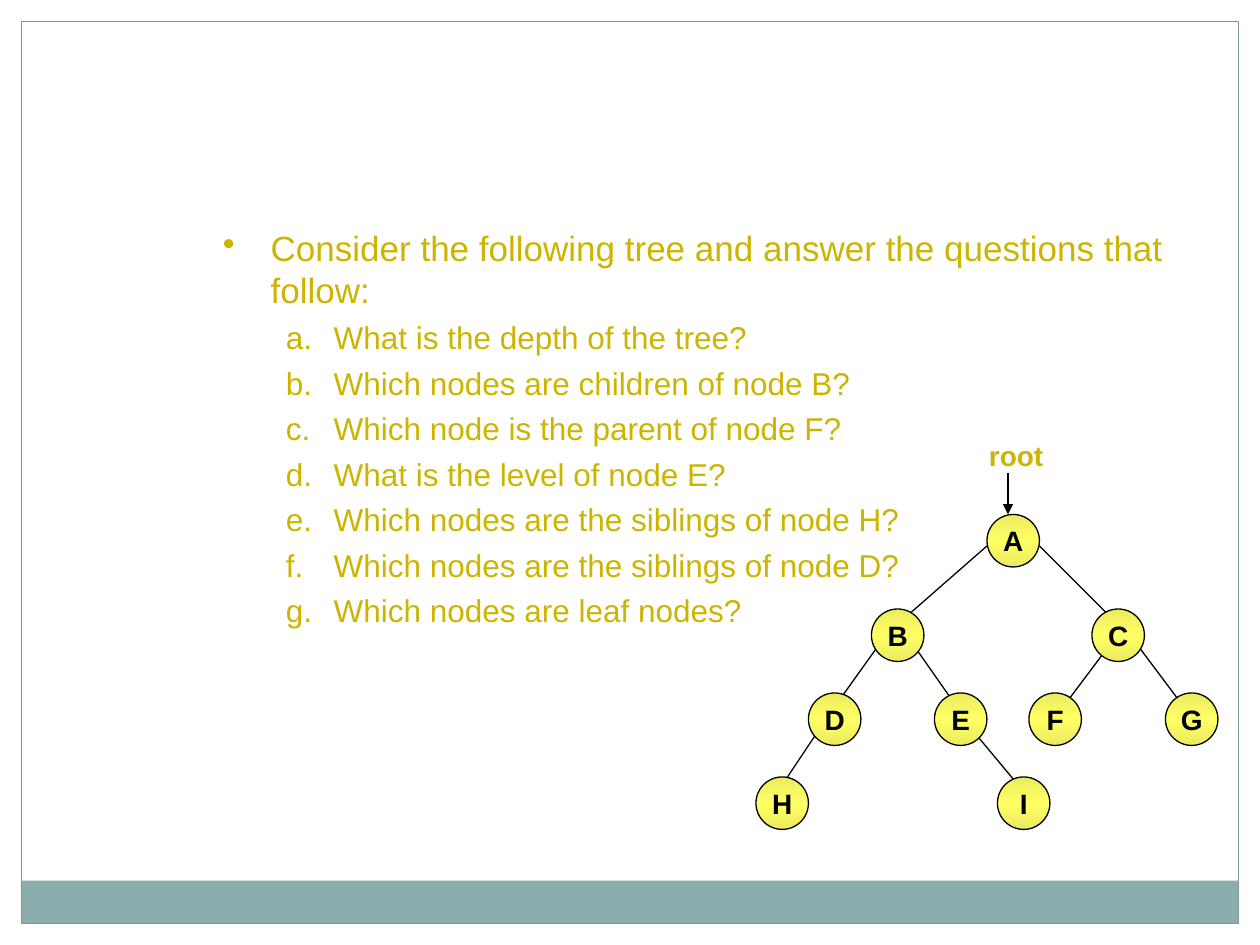
from copy import deepcopy
from dataclasses import dataclass

from pptx import Presentation
from pptx.dml.color import RGBColor
from pptx.enum.shapes import MSO_CONNECTOR, MSO_SHAPE
from pptx.enum.text import MSO_ANCHOR, PP_ALIGN
from pptx.oxml.ns import qn
from pptx.util import Inches, Pt

RECTANGLE, OVAL = MSO_SHAPE.RECTANGLE, MSO_SHAPE.OVAL
STRAIGHT = MSO_CONNECTOR.STRAIGHT
MIDDLE, CENTER = MSO_ANCHOR.MIDDLE, PP_ALIGN.CENTER


@dataclass(frozen=True)
class Theme:
    font: str = "Arial"
    text: RGBColor = RGBColor.from_string("CCB400")
    ink: RGBColor = RGBColor.from_string("000000")
    band: RGBColor = RGBColor.from_string("8CADAE")
    frame: RGBColor = RGBColor.from_string("7C999A")
    node_edge: RGBColor = RGBColor.from_string("EBEB5E")
    node_middle: RGBColor = RGBColor.from_string("FFFF66")
    intro_size: Pt = Pt(20)
    question_size: Pt = Pt(18)
    label_size: Pt = Pt(16)
    line_width: Pt = Pt(0.75)


THEME = Theme()
UNIT = Inches(1 / 12)  # side of one square of the tree's grid
NODE_UNITS = 5

INTRO = "Consider the following tree and answer the questions that follow:"
QUESTIONS = [
    "What is the depth of the tree?",
    "Which nodes are children of node B?",
    "Which node is the parent of node F?",
    "What is the level of node E?",
    "Which nodes are the siblings of node H?",
    "Which nodes are the siblings of node D?",
    "Which nodes are leaf nodes?",
]

# Row of each tree level, with the column of each node on it
LEVELS = {
    49: {"A": 94},
    58: {"B": 83, "C": 104},
    66: {"D": 77, "E": 89, "F": 98, "G": 111},
    74: {"H": 72, "I": 95},
}

# (column, row) of the upper and lower end of each branch
BRANCHES = [
    ((94, 52), (86, 59)),
    ((99, 52), (107, 60)),
    ((84, 61), (79, 68)),
    ((86, 60), (93, 70)),
    ((106, 61), (100, 69)),
    ((108, 61), (114, 69)),
    ((79, 68), (73, 77)),
    ((93, 70), (98, 76)),
]


def style_font(para, size, color, bold=False):
    font = para.font
    font.name, font.size, font.bold = THEME.font, size, bold
    font.color.rgb = color


def style_outline(line, color):
    line.color.rgb = color
    line.width = THEME.line_width


def set_bullet(para, indent, tag, **attributes):
    """Give the paragraph a hanging bullet; tag is buChar or buAutoNum."""
    properties = para._p.get_or_add_pPr()
    properties.set("marL", str(Inches(indent)))
    properties.set("indent", str(-Inches(0.38)))
    bullet = properties.makeelement(qn(f"a:{tag}"), attributes)
    properties.append(bullet)


def add_border(page, width, height):
    margin = Inches(0.17)
    inner_width = width - 2 * margin
    band = page.shapes.add_shape(
        RECTANGLE, margin, Inches(6.99), inner_width, Inches(0.34))
    band.fill.solid()
    band.fill.fore_color.rgb = THEME.band
    band.line.fill.background()
    frame = page.shapes.add_shape(
        RECTANGLE, margin, margin, inner_width, height - 2 * margin)
    frame.fill.background()
    style_outline(frame.line, THEME.frame)
    for shape in (band, frame):
        shape.shadow.inherit = False


def add_questions(page):
    box = page.shapes.add_textbox(
        Inches(1.67), Inches(1.75), Inches(8), Inches(3.84))
    frame = box.text_frame
    frame.word_wrap = True
    para = frame.paragraphs[0]
    para.text = INTRO
    set_bullet(para, 0.38, "buChar", char="•")
    style_font(para, THEME.intro_size, THEME.text)
    for question in QUESTIONS:
        para = frame.add_paragraph()
        para.text = question
        para.level = 1
        para.space_before = Pt(4.4)
        set_bullet(para, 0.88, "buAutoNum", type="alphaLcPeriod")
        style_font(para, THEME.question_size, THEME.text)


def add_line(page, start, end, arrow=False):
    ends = [UNIT * value for value in (*start, *end)]
    line = page.shapes.add_connector(STRAIGHT, *ends)
    style_outline(line.line, THEME.ink)
    properties = line._element.spPr
    if arrow:
        outline = properties.find(qn("a:ln"))
        outline.append(outline.makeelement(qn("a:tailEnd"), {"type": "triangle"}))
    properties.append(properties.makeelement(qn("a:effectLst"), {}))


def fill_node(node):
    """Shade the node from its edge colour to a lighter middle and back."""
    fill = node.fill
    fill.gradient()
    fill.gradient_angle = 90
    stop_list = next(node._element.spPr.iter(qn("a:gsLst")))
    stop_list.insert(1, deepcopy(stop_list[0]))
    colors = (THEME.node_edge, THEME.node_middle, THEME.node_edge)
    for index, (stop, color) in enumerate(zip(fill.gradient_stops, colors)):
        stop.position = index / 2
        stop.color.rgb = color


def add_node(page, name, column, row):
    size = UNIT * NODE_UNITS
    node = page.shapes.add_shape(OVAL, UNIT * column, UNIT * row, size, size)
    node.shadow.inherit = False
    fill_node(node)
    style_outline(node.line, THEME.ink)
    frame = node.text_frame
    frame.word_wrap = False
    frame.vertical_anchor = MIDDLE
    para = frame.paragraphs[0]
    para.text = name
    para.alignment = CENTER
    style_font(para, THEME.label_size, THEME.ink, bold=True)


def add_root_label(page):
    box = page.shapes.add_textbox(UNIT * 93, Inches(3.43), UNIT * 9, Inches(0.37))
    box.text_frame.word_wrap = True
    para = box.text_frame.paragraphs[0]
    para.text = "root"
    style_font(para, THEME.label_size, THEME.text, bold=True)


def add_tree(page):
    for start, end in BRANCHES:
        add_line(page, start, end)
    for row, nodes in LEVELS.items():
        for name, column in nodes.items():
            add_node(page, name, column, row)
    add_line(page, (96, 45), (96, 49), arrow=True)
    add_root_label(page)


def main():
    deck = Presentation()
    deck.slide_width, deck.slide_height = Inches(10), Inches(7.5)
    page = deck.slides.add_slide(deck.slide_layouts.get_by_name("Blank"))
    add_border(page, deck.slide_width, deck.slide_height)
    add_questions(page)
    add_tree(page)
    deck.save("out.pptx")


if __name__ == "__main__":
    main()
